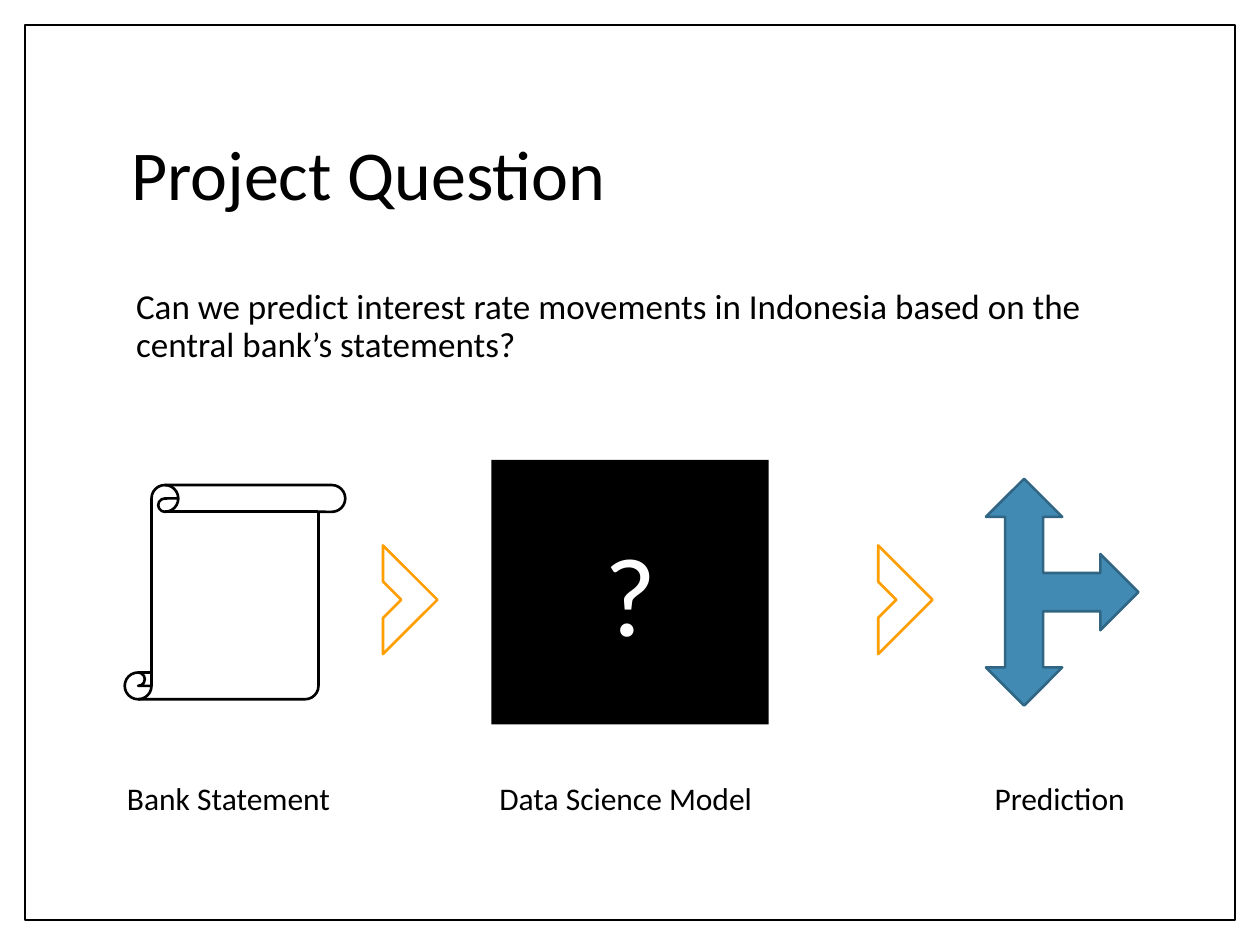
from pptx import Presentation
from pptx.dml.color import RGBColor
from pptx.enum.shapes import MSO_SHAPE as SHAPE
from pptx.enum.text import MSO_ANCHOR as ANCHOR, PP_ALIGN as ALIGN
from pptx.util import Inches, Pt

W, H = 10, 7.5
MARGIN = 0.94
CONTENT_W = 8.1
FLOW = (MARGIN, 3.65, CONTENT_W, 2.88)
COLORS = {"ink": "000000", "paper": "FFFFFF", "chevron": "FE9E00",
          "arrow": "418AB3", "arrow_edge": "306684"}


def rgb(name):
    return RGBColor.from_string(COLORS[name])


def write(tf, text, size, color="ink", frame=None, para=None):
    """Put one formatted paragraph in a text frame."""
    for key, value in (frame or {}).items():
        setattr(tf, key, value)
    p = tf.paragraphs[0]
    for key, value in (para or {}).items():
        setattr(p, key, value)
    r = p.add_run()
    r.text = text
    for key, value in {"name": "Calibri", "size": Pt(size), "bold": False}.items():
        setattr(r.font, key, value)
    r.font.color.rgb = rgb(color)


def add_shape(s, kind, box, fill=None, line=None, width=1.5, rotation=0):
    sp = s.shapes.add_shape(kind, *map(Inches, box))
    sp.shadow.inherit = False
    sp.rotation = rotation
    if fill:
        sp.fill.solid()
        sp.fill.fore_color.rgb = rgb(fill)
    else:
        sp.fill.background()
    if line:
        sp.line.color.rgb = rgb(line)
        sp.line.width = Pt(width)
    else:
        sp.line.fill.background()
    return sp


def centred(cx, cy, w, h):
    return cx - w / 2, cy - h / 2, w, h


def add_border(s, inset=0.2):
    add_shape(s, SHAPE.RECTANGLE, (inset, inset, W - 2 * inset, H - 2 * inset),
              "paper", "ink", 1)


def add_title(s, box):
    sp = s.shapes.title
    sp.left, sp.top, sp.width, sp.height = map(Inches, box)
    write(sp.text_frame, "Project Question", 40,
          frame={"vertical_anchor": ANCHOR.MIDDLE, "word_wrap": True},
          para={"alignment": ALIGN.LEFT, "line_spacing": 0.9})


def add_question(s, box):
    sp = s.shapes.add_textbox(*map(Inches, box))
    write(sp.text_frame,
          "Can we predict interest rate movements in Indonesia "
          "based on the central bank’s statements?", 20,
          frame={"word_wrap": True, "margin_left": Inches(0.14)},
          para={"line_spacing": 0.9, "space_before": Pt(10)})


def add_flow(s, box):
    """Three captioned stages with a chevron between neighbours."""
    left, top, width, height = box
    mid = left + width / 2
    row = top + 1.05
    caption_row = top + height - 0.2

    add_shape(s, SHAPE.VERTICAL_SCROLL, (left + 0.05, row - 0.85, 1.75, 1.7), line="ink")
    model = add_shape(s, SHAPE.RECTANGLE, centred(mid + 0.01, row, 2.2, 2.1), "ink")
    write(model.text_frame, "?", 64, "paper",
          frame={"vertical_anchor": ANCHOR.MIDDLE}, para={"alignment": ALIGN.CENTER})
    add_shape(s, SHAPE.LEFT_RIGHT_UP_ARROW, centred(left + width - 0.61, row, 1.8, 1.21),
              "arrow", "arrow_edge", rotation=90)

    for cx in (mid - 1.95, mid + 1.98):
        add_shape(s, SHAPE.HALF_FRAME, centred(cx, row + 0.06, 0.61, 0.61),
                  "paper", "chevron", rotation=135)

    captions = (("Bank Statement", left + 0.92, 1.9),
                ("Data Science Model", mid + 0.01, 2.27),
                ("Prediction", left + width - 0.61, 1.27))
    for text, cx, w in captions:
        sp = s.shapes.add_textbox(*map(Inches, centred(cx, caption_row, w, 0.4)))
        write(sp.text_frame, text, 18, frame={"word_wrap": False})


def main():
    prs = Presentation()
    prs.slide_width, prs.slide_height = Inches(W), Inches(H)
    s = prs.slides.add_slide(prs.slide_layouts[5])
    add_border(s)
    # The border is filled, so the title has to sit in front of it.
    s.shapes._spTree.append(s.shapes.title._element)
    add_title(s, (MARGIN, 0.67, CONTENT_W, 1.48))
    add_question(s, (MARGIN, 2.25, CONTENT_W, 1))
    add_flow(s, FLOW)
    prs.save("out.pptx")


if __name__ == "__main__":
    main()
